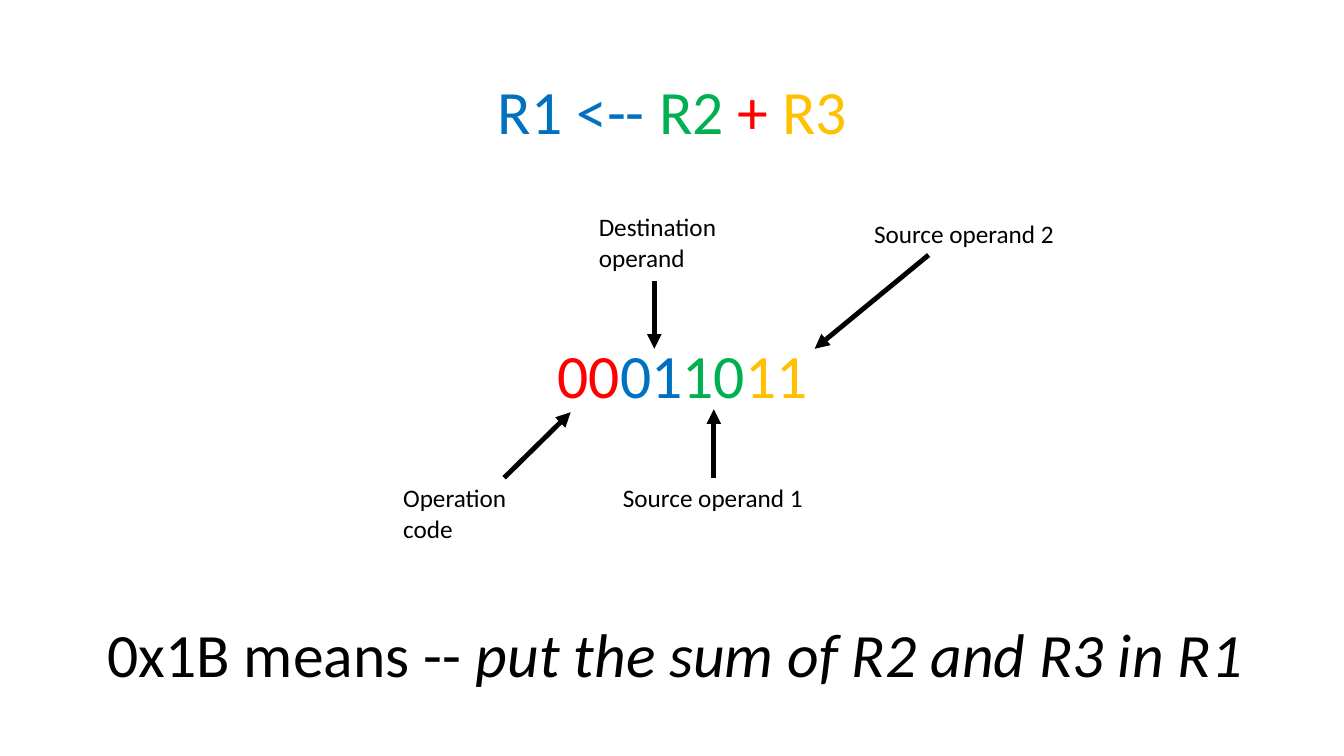
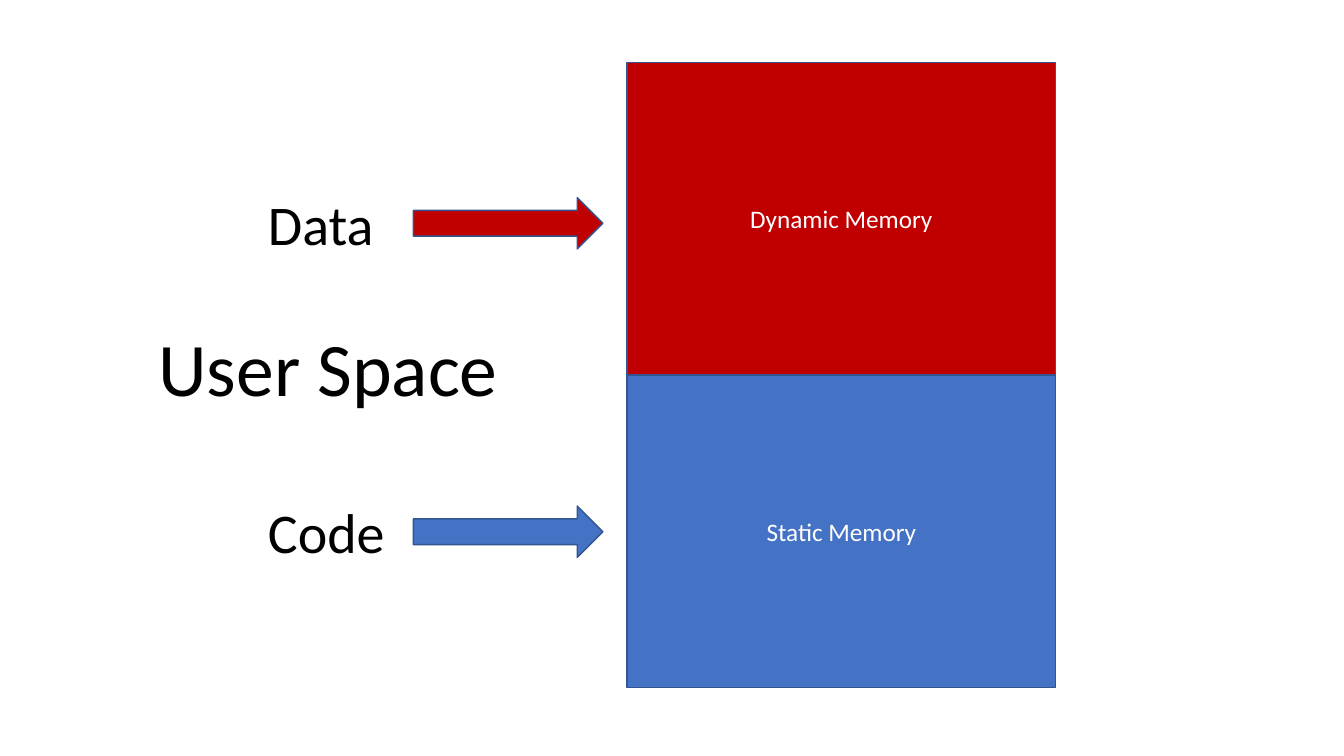
from lxml import etree
from pptx import Presentation
from pptx.dml.color import RGBColor
from pptx.enum.shapes import MSO_CONNECTOR, MSO_SHAPE
from pptx.enum.text import MSO_ANCHOR, MSO_AUTO_SIZE, PP_ALIGN
from pptx.oxml.ns import qn
from pptx.util import Pt

PX = 9144
FONT = "Calibri"
BLACK = RGBColor(0x00, 0x00, 0x00)
WHITE = RGBColor(0xFF, 0xFF, 0xFF)
RED = RGBColor(0xFF, 0x00, 0x00)
BLUE = RGBColor(0x00, 0x70, 0xC0)
GREEN = RGBColor(0x00, 0xB0, 0x50)
GOLD = RGBColor(0xFF, 0xC0, 0x00)
DYNAMIC_RED = RGBColor(0xC0, 0x00, 0x00)
STATIC_BLUE = RGBColor(0x44, 0x72, 0xC4)
OUTLINE = RGBColor(0x32, 0x54, 0x91)

STRAIGHT = MSO_CONNECTOR.STRAIGHT
RECTANGLE = MSO_SHAPE.RECTANGLE
RIGHT_ARROW = MSO_SHAPE.RIGHT_ARROW
MIDDLE = MSO_ANCHOR.MIDDLE
CENTER = PP_ALIGN.CENTER
FIXED = MSO_AUTO_SIZE.NONE
GROW = MSO_AUTO_SIZE.SHAPE_TO_FIT_TEXT


def write_headline(box, area, size, spans):
    box.left, box.top, box.width, box.height = [length * PX for length in area]
    frame = box.text_frame
    frame.auto_size = FIXED
    frame.word_wrap = True
    frame.vertical_anchor = MIDDLE
    para = frame.paragraphs[0]
    para.alignment = CENTER
    para.line_spacing = 0.9
    para.font.name = FONT
    para.font.size = Pt(size)
    for text, color, italic in spans:
        span = para.add_run()
        span.text = text
        span.font.color.rgb = color
        if italic:
            span.font.italic = True


def add_label(slide, area, size, text):
    box = slide.shapes.add_textbox(*[length * PX for length in area])
    frame = box.text_frame
    frame.text = text
    frame.word_wrap = False
    frame.auto_size = GROW
    for para in frame.paragraphs:
        para.font.name = FONT
        para.font.size = Pt(size)
        para.font.color.rgb = BLACK
    return box


deck = Presentation()
deck.slide_width = 1333 * PX
deck.slide_height = 750 * PX
title_only = deck.slide_layouts[5]

slide = deck.slides.add_slide(title_only)
write_headline(slide.shapes.title, (92, 41, 1150, 145), 44, [
    ("R1 <-- ", BLUE, False),
    ("R2 ", GREEN, False),
    ("+ ", RED, False),
    ("R3", GOLD, False),
])
headlines = [
    ((102, 303, 1150, 145), [
        ("00", RED, False),
        ("01", BLUE, False),
        ("10", GREEN, False),
        ("11", GOLD, False),
    ]),
    ((95, 580, 1150, 145), [
        ("0x1B means -- ", BLACK, False),
        ("put the sum of R2 and R3 in R1", BLACK, True),
    ]),
]
for area, spans in headlines:
    box = slide.shapes.add_textbox(0, 0, PX, PX)
    write_headline(box, area, 44, spans)

add_label(slide, (390, 474, 124, 71), 18, "Operation\ncode")
add_label(slide, (584, 205, 138, 71), 18, "Destination\noperand")
add_label(slide, (857, 212, 201, 40), 18, "Source operand 2")
source_one = add_label(slide, (608, 474, 200, 40), 18, "Source operand 1")

pointers = [
    ((500, 474, 566, 409), None),
    ((708, 474, 708, 406), source_one),
    ((649, 279, 649, 346), None),
    ((921, 253, 808, 346), None),
]
for ends, label in pointers:
    pointer = slide.shapes.add_connector(STRAIGHT, *[length * PX for length in ends])
    if label is not None:
        pointer.begin_connect(label, 0)
    pointer.line.color.rgb = BLACK
    pointer.line.width = Pt(3.5)
    etree.SubElement(pointer.line._get_or_add_ln(), qn("a:tailEnd"), type="triangle")
    etree.SubElement(pointer._element.spPr, qn("a:effectLst"))

slide = deck.slides.add_slide(title_only)
write_headline(slide.shapes.title, (115, 297, 421, 145), 54, [("User Space", BLACK, False)])

memory_areas = [
    ("Dynamic Memory", "Data", 126, DYNAMIC_RED),
    ("Static Memory", "Code", 137, STATIC_BLUE),
]
for row, (memory, content, label_width, color) in enumerate(memory_areas):
    add_label(slide, (256, 183 + row * 306, label_width, 77), 40, content)
    parts = [
        (RECTANGLE, (622, 62 + row * 310, 425, 310), memory),
        (RIGHT_ARROW, (410, 196 + row * 306, 188, 51), ""),
    ]
    for kind, area, text in parts:
        shape = slide.shapes.add_shape(kind, *[length * PX for length in area])
        shape.shadow.inherit = False
        shape.fill.solid()
        shape.fill.fore_color.rgb = color
        shape.line.color.rgb = OUTLINE
        shape.line.width = Pt(1)
        if text:
            shape.text_frame.text = text
            shape.text_frame.vertical_anchor = MIDDLE
            para = shape.text_frame.paragraphs[0]
            para.alignment = CENTER
            para.font.name = FONT
            para.font.size = Pt(18)
            para.font.color.rgb = WHITE

deck.save("out.pptx")
